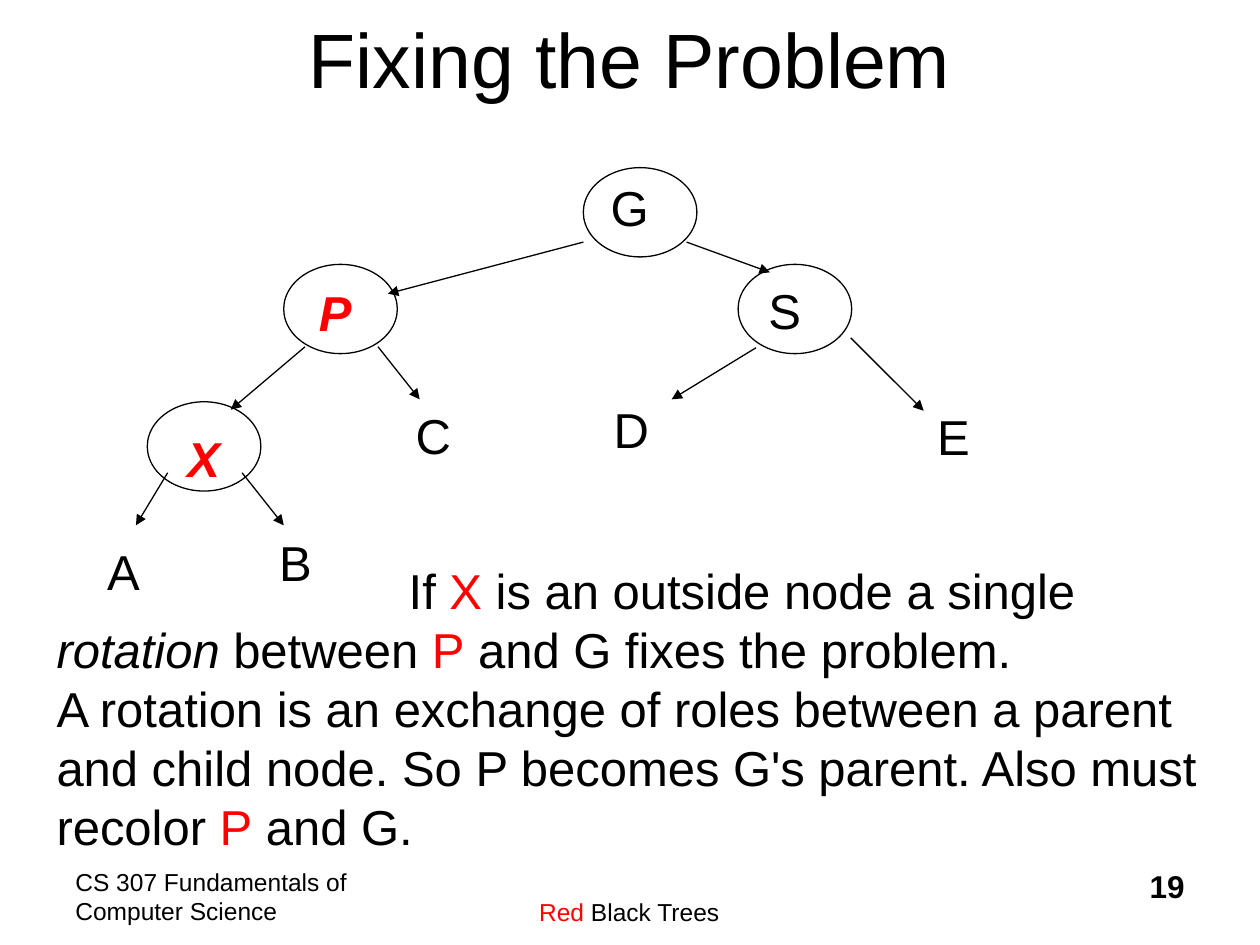
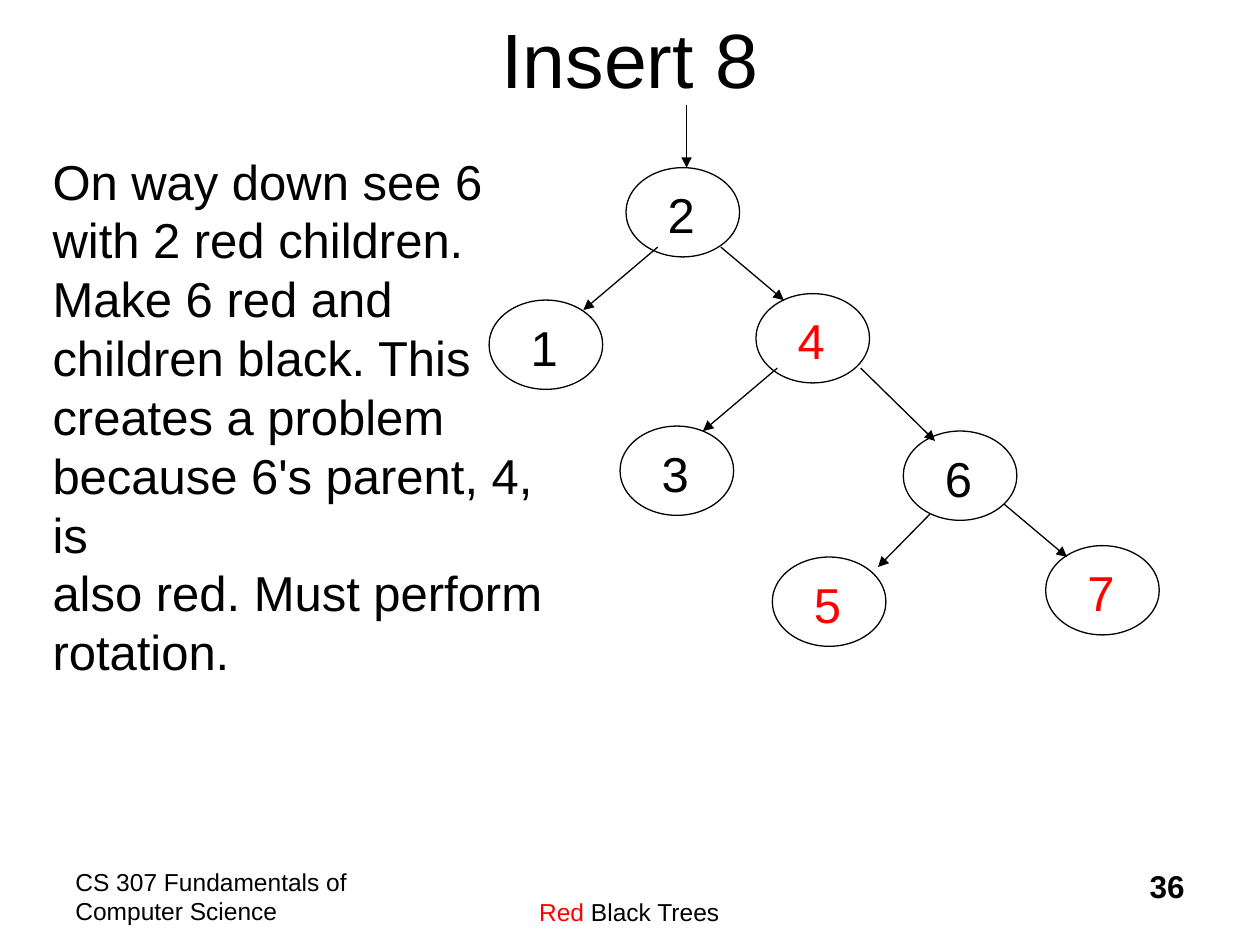
from pptx import Presentation
from pptx import util as u
from pptx.dml import color
from pptx.enum import shapes, text
from pptx.oxml import ns
from lxml import etree

FONT = "Arial"
BLACK, RED = "000000", "FF0000"
TITLE_SIZE, BODY_SIZE, NUMBER_SIZE, FOOTER_SIZE = 44, 28, 18, 14
NODE_WIDTH, NODE_HEIGHT = 2.29, 1.8
LABEL_HEIGHT = 1.45
LETTER_WIDTH, DIGIT_WIDTH = 1.19, 1.04
DIGIT_OFFSET = (0.59, 0.22)
LEFT, CENTER, RIGHT = text.PP_ALIGN.LEFT, text.PP_ALIGN.CENTER, text.PP_ALIGN.RIGHT


def rgb(value):
    return color.RGBColor.from_string(value)


# Text
def add_run(paragraph, words, size, hex_color=BLACK, bold=False, italic=False):
    """Add a run; each newline in the words becomes a line break."""
    for number, line in enumerate(words.split("\n")):
        if number:
            paragraph.add_line_break()
        if line:
            run = paragraph.add_run()
            run.text = line
            font = run.font
            font.name, font.size = FONT, u.Pt(size)
            font.bold, font.italic = bold, italic
            font.color.rgb = rgb(hex_color)


def add_text(slide, box, runs, size, align=LEFT, wrap=True):
    """Each run is (words, options for add_run)."""
    shape = slide.shapes.add_textbox(*map(u.Cm, box))
    frame = shape.text_frame
    frame.word_wrap = wrap
    paragraph = frame.paragraphs[0]
    paragraph.alignment = align
    for words, options in runs:
        add_run(paragraph, words, size, **options)
    return shape


def add_growing_text(slide, box, runs, wrap=False):
    shape = add_text(slide, box, runs, BODY_SIZE, wrap=wrap)
    shape.text_frame.auto_size = text.MSO_AUTO_SIZE.SHAPE_TO_FIT_TEXT
    shape.text_frame.paragraphs[0].space_before = u.Pt(7)
    return shape


# Tree parts
def add_label(slide, left, top, words, width=LETTER_WIDTH, **options):
    add_growing_text(slide, (left, top, width, LABEL_HEIGHT), [(words, options)])


def add_node(slide, left, top, words, offset=DIGIT_OFFSET, width=DIGIT_WIDTH, **options):
    ellipse = slide.shapes.add_shape(
        shapes.MSO_SHAPE.OVAL, *map(u.Cm, (left, top, NODE_WIDTH, NODE_HEIGHT)))
    ellipse.shadow.inherit = False
    ellipse.fill.background()
    ellipse.line.color.rgb = rgb(BLACK)
    ellipse.line.width = u.Pt(0.75)
    add_label(slide, left + offset[0], top + offset[1], words, width, **options)


def add_arrow(slide, *ends):
    arrow = slide.shapes.add_connector(shapes.MSO_CONNECTOR.STRAIGHT, *map(u.Cm, ends))
    arrow.line.color.rgb = rgb(BLACK)
    arrow.line.width = u.Pt(0.75)
    etree.SubElement(arrow.line._get_or_add_ln(), ns.qn("a:tailEnd"), type="triangle")
    etree.SubElement(arrow._element.spPr, ns.qn("a:effectLst"))


# Title and footers shared by the slides
def add_slide(presentation, title, number):
    slide = presentation.slides.add_slide(presentation.slide_layouts[6])
    add_text(slide, (1.27, 17.35, 6.35, 1.27),
             [("CS 307 Fundamentals of Computer Science", {})], FOOTER_SIZE)
    add_text(slide, (7.82, 17.95, 9.73, 0.85),
             [("Red", {"hex_color": RED}), (" Black Trees", {})], FOOTER_SIZE, CENTER)
    add_text(slide, (18.85, 17.35, 5.28, 1.27),
             [(str(number), {"bold": True})], NUMBER_SIZE, RIGHT)
    heading = add_text(slide, (1.9, 0, 21.6, 2.31), [(title, {})], TITLE_SIZE, CENTER)
    heading.text_frame.vertical_anchor = text.MSO_ANCHOR.MIDDLE
    return slide


def build_fixing_slide(presentation):
    slide = add_slide(presentation, "Fixing the Problem", 19)

    # Tree around X, its parent P and grandparent G
    outlier = {"hex_color": RED, "bold": True, "italic": True}
    for left, top, name, offset, options in (
            (11.76, 3.38, "G", (0.3, 0.08), {}),
            (5.72, 5.33, "P", (0.46, 0.25), outlier),
            (14.88, 5.33, "S", (0.36, 0.2), {}),
            (2.97, 8.1, "X", (0.56, 0.41), outlier)):
        add_node(slide, left, top, name, offset, LETTER_WIDTH, **options)
    for left, top, name in ((1.91, 10.8, "A"), (5.38, 10.62, "B"), (8.13, 8.05, "C"),
                            (12.12, 7.92, "D"), (18.64, 8.08, "E")):
        add_label(slide, left, top, name)
    for ends in ((11.76, 4.88, 7.82, 5.92), (13.84, 4.88, 15.52, 5.49),
                 (17.15, 6.81, 18.62, 8.28), (15.24, 7.01, 13.54, 8.05),
                 (6.15, 6.99, 4.65, 8.26), (7.62, 6.99, 8.46, 8.05),
                 (3.38, 9.53, 2.74, 10.59), (4.88, 9.53, 5.72, 10.59)):
        add_arrow(slide, *ends)

    # Explanation, its first line indented past the tree
    red = {"hex_color": RED}
    explanation = add_growing_text(slide, (0.89, 11.18, 23.83, 7.62), [
        ("If ", {}), ("X", red), (" is an outside node a single\n", {}),
        ("rotation", {"italic": True}), (" between ", {}), ("P", red),
        (" and G fixes the problem.\n"
         "A rotation is an exchange of roles between a parent\n"
         "and child node. So P becomes G's parent. Also must\n"
         "recolor ", {}), ("P", red), (" and G.", {})], wrap=True)
    properties = explanation.text_frame.paragraphs[0]._p.get_or_add_pPr()
    properties.set("marL", "0")
    properties.set("indent", str(u.Cm(7.1)))


def build_insert_slide(presentation):
    slide = add_slide(presentation, "Insert 8", 36)

    # Tree
    for left, top, digit, hex_color in (
            (12.62, 3.38, 2, BLACK), (9.86, 6.05, 1, BLACK), (15.24, 5.92, 4, RED),
            (12.5, 8.59, 3, BLACK), (18.21, 8.69, 6, BLACK),
            (15.57, 11.23, 5, RED), (21.08, 11, 7, RED)):
        add_node(slide, left, top, str(digit), hex_color=hex_color)
    for ends in ((13.84, 2.11, 13.84, 3.38), (14.53, 4.98, 15.8, 6.05),
                 (13.26, 4.98, 11.76, 6.25), (17.35, 7.42, 18.85, 8.89),
                 (15.67, 7.42, 14.17, 8.69), (18.75, 10.36, 17.7, 11.43),
                 (20.24, 10.16, 21.51, 11.23)):
        add_arrow(slide, *ends)

    # Explanation
    add_growing_text(slide, (0.81, 2.92, 11.15, 9.75), [
        ("On way down see 6\nwith 2 red children.\nMake 6 red and\n"
         "children black. This\ncreates a problem\nbecause 6's parent, 4, is\n"
         "also red. Must perform\nrotation.", {})])


def main():
    presentation = Presentation()
    presentation.slide_width, presentation.slide_height = u.Cm(25.4), u.Cm(19.05)
    build_fixing_slide(presentation)
    build_insert_slide(presentation)
    presentation.save("out.pptx")


if __name__ == "__main__":
    main()
